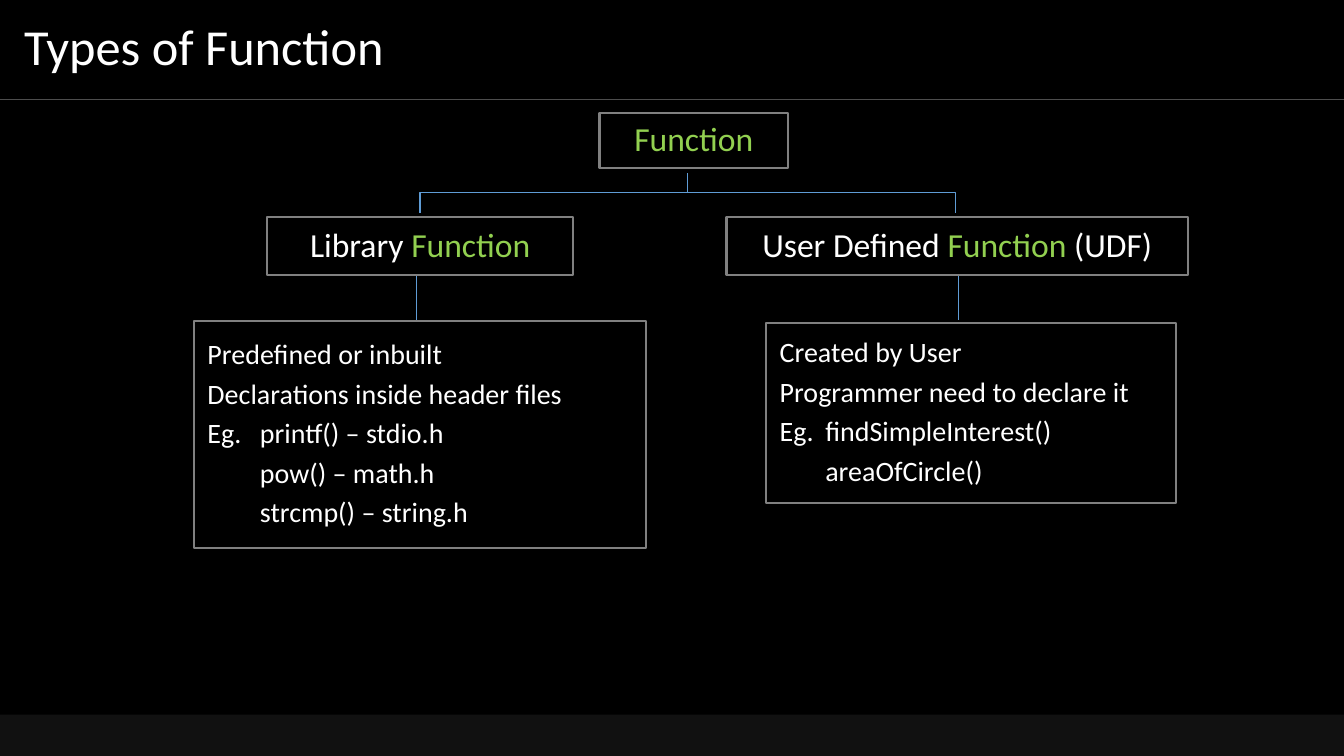
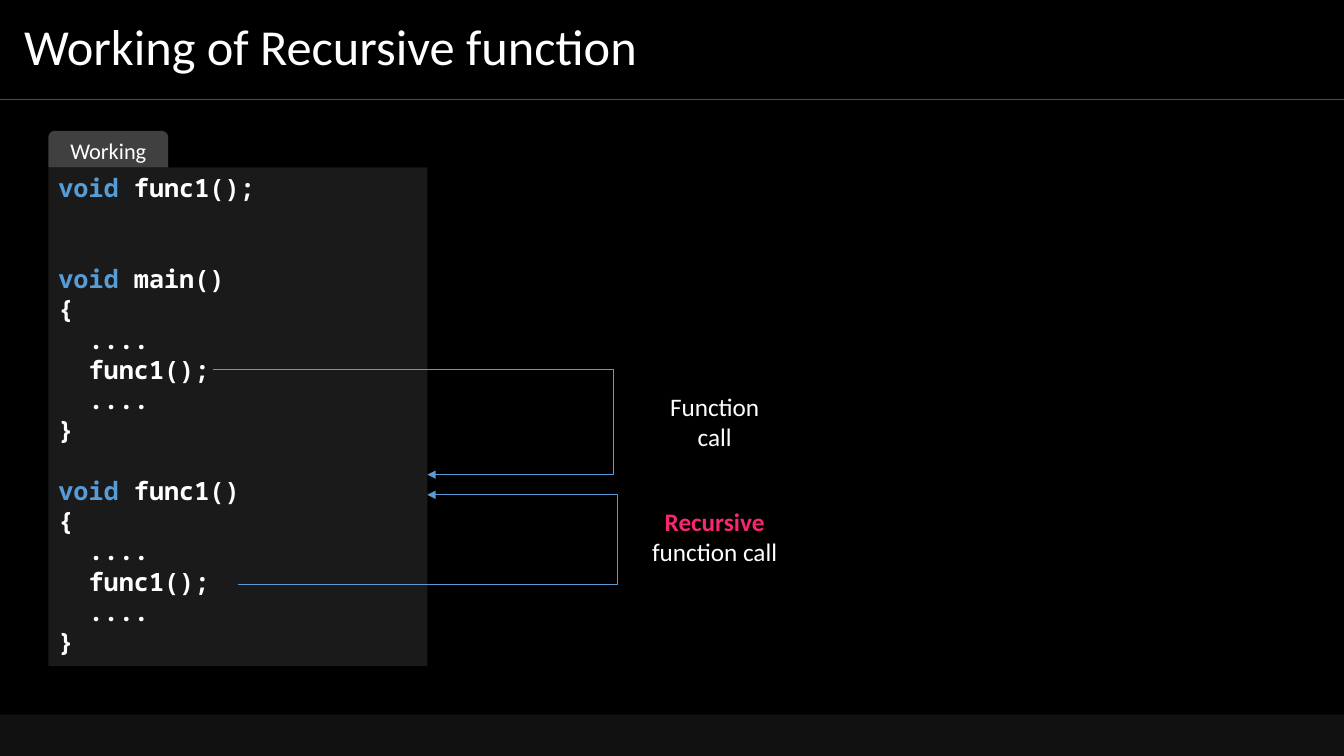
from lxml import etree
from pptx import Presentation
from pptx.dml.color import RGBColor
from pptx.enum.shapes import MSO_CONNECTOR, MSO_SHAPE
from pptx.enum.text import MSO_ANCHOR, PP_ALIGN
from pptx.oxml.ns import qn
from pptx.util import Cm, Pt

RECT, TAB = MSO_SHAPE.RECTANGLE, MSO_SHAPE.ROUND_2_SAME_RECTANGLE
STRAIGHT, ELBOW = MSO_CONNECTOR.STRAIGHT, MSO_CONNECTOR.ELBOW
LEFT, CENTER = PP_ALIGN.LEFT, PP_ALIGN.CENTER
TOP, MIDDLE = MSO_ANCHOR.TOP, MSO_ANCHOR.MIDDLE
COLORS = {
    "black": "000000", "white": "FFFFFF", "rule": "4D4D4D", "footer": "111111",
    "border": "808080", "green": "92D050", "branch": "5F9CD5", "arrow": "5B9BD5",
    "panel": "1A1A1A", "tab": "404040", "keyword": "569CD6", "pink": "F92672",
}
RGB = {name: RGBColor.from_string(value) for name, value in COLORS.items()}
FONT, CODE_FONT = "Calibri", "Noto Sans Mono"
WIDTH, HEIGHT = 33.87, 19.05


def add_box(s, kind, at, lines=(), size=18, fill=None, border=None, font=FONT,
            align=CENTER, anchor=MIDDLE, inset=(0.25, 0.13)):
    """Add a shape, or a text box if kind is None; a line is a list of (text, colour, bold)."""
    at = [Cm(v) for v in at]
    if kind is None:
        sp = s.shapes.add_textbox(*at)
    else:
        sp = s.shapes.add_shape(kind, *at)
        sp.shadow.inherit = False
        sp.fill.solid()
        sp.fill.fore_color.rgb = RGB[fill]
        if border:
            sp.line.color.rgb = RGB[border]
            sp.line.width = Pt(1.5)
        else:
            sp.line.fill.background()
    tf = sp.text_frame
    tf.word_wrap = True
    tf.vertical_anchor = anchor
    tf.margin_left = tf.margin_right = Cm(inset[0])
    tf.margin_top = tf.margin_bottom = Cm(inset[1])
    for i, runs in enumerate(lines):
        p = tf.paragraphs[0] if i == 0 else tf.add_paragraph()
        p.alignment = align
        for text, color, bold in runs:
            r = p.add_run()
            r.text = text
            r.font.name, r.font.size, r.font.bold = font, Pt(size), bold
            r.font.color.rgb = RGB[color]
    return tf


def add_line(s, kind, ends, color, width):
    """Add a connector without a shadow."""
    cx = s.shapes.add_connector(kind, *[Cm(v) for v in ends])
    cx.line.color.rgb = RGB[color]
    cx.line.width = Pt(width)
    etree.SubElement(cx._element.spPr, qn("a:effectLst"))
    return cx


prs = Presentation()
prs.slide_width, prs.slide_height = Cm(WIDTH), Cm(HEIGHT)

# Shared look: black background, title, rule and footer band
slides = []
for title in ("Types of Function", "Working of Recursive function"):
    s = prs.slides.add_slide(prs.slide_layouts[6])
    s.background.fill.solid()
    s.background.fill.fore_color.rgb = RGB["black"]
    add_line(s, STRAIGHT, (0, 2.5, WIDTH, 2.5), "rule", 0.5)
    add_box(s, RECT, (0, 18.01, WIDTH, 1.04), fill="footer")
    tf = add_box(s, None, (0, 0, WIDTH, 2.5), [[(title, "white", False)]], 36,
                 align=LEFT, inset=(0.61, 0.3))
    tf.paragraphs[0].line_spacing = 0.9
    slides.append(s)
types, working = slides

# Types: branches from the root to both kinds
for x in (10.59, 24.08):
    fb = types.shapes.build_freeform(Cm(17.32), Cm(4.37))
    fb.add_line_segments([(Cm(17.32), Cm(4.85)), (Cm(x), Cm(4.85)), (Cm(x), Cm(5.36))],
                         close=False)
    sp = fb.convert_to_shape()
    sp.shadow.inherit = False
    sp.fill.background()
    sp.line.color.rgb = RGB["branch"]
    sp.line.width = Pt(1)
for x in (10.49, 24.16):
    add_line(types, STRAIGHT, (x, 6.96, x, 8.07), "branch", 1)

# Types: headings
headings = [
    ((15.11, 2.84, 4.75, 1.4), [("Function", "green", False)]),
    ((6.73, 5.47, 7.72, 1.47), [("Library ", "white", False), ("Function", "green", False)]),
    ((18.31, 5.47, 11.63, 1.47), [("User Defined ", "white", False),
                                  ("Function ", "green", False), ("(UDF)", "white", False)]),
]
for at, runs in headings:
    tf = add_box(types, RECT, at, [runs], 24, "black", "border", inset=(0.05, 0.05))
    tf.paragraphs[0].line_spacing = 0.9
    tf.paragraphs[0].space_after = Pt(6.6)

# Types: details, with the examples lined up at a tab stop
details = [
    ((4.88, 8.08, 11.41, 5.74), 1.32,
     ["Predefined or inbuilt", "Declarations inside header files",
      "Eg.\tprintf() – stdio.h", "\tpow() – math.h", "\tstrcmp() – string.h"]),
    ((19.3, 8.15, 10.34, 4.52), 1.15,
     ["Created by User", "Programmer need to declare it",
      "Eg.\tfindSimpleInterest()", "\tareaOfCircle()"]),
]
for at, stop, texts in details:
    tf = add_box(types, RECT, at, [[(text, "white", False)] for text in texts], 20,
                 "black", "border", align=LEFT, inset=(0.35, 0.03))
    for p in tf.paragraphs:
        tabs = etree.SubElement(p._p.get_or_add_pPr(), qn("a:tabLst"))
        etree.SubElement(tabs, qn("a:tab"), pos=str(Cm(stop)), algn="l")
        p.line_spacing = 0.9
        p.space_after = Pt(6.6)

# Working: code panel, where an empty line becomes space before the next one
CODE = """void func1();


void main()
{
  ....
  func1();
  ....
}

void func1()
{
  ....
  func1();
  ....
}"""
lines, gaps, gap = [], [], 0
for text in CODE.split("\n"):
    if not text:
        gap += 1
        continue
    word, keyword, rest = text.rpartition("void")
    runs = [(keyword, "keyword", True)] if keyword else []
    lines.append(runs + [(rest, "white", True)])
    gaps.append(gap)
    gap = 0
tf = add_box(working, RECT, (1.22, 4.22, 9.55, 12.57), lines, 18, "panel",
             font=CODE_FONT, align=LEFT, anchor=TOP)
for p, gap in zip(tf.paragraphs, gaps):
    if gap:
        p.space_before = Pt(21.67 * gap)
add_box(working, TAB, (1.22, 3.3, 3.02, 0.92), [[("Working", "white", False)]], 16,
        "tab", inset=(0.25, 0))

# Working: call arrows, bent out to the right of the panel
for ends, bend in (((5.38, 9.3, 10.77, 11.96), 187000), ((5.99, 14.73, 10.77, 12.47), 200400)):
    cx = add_line(working, ELBOW, ends, "arrow", 0.5)
    guides = cx._element.spPr.find(".//" + qn("a:avLst"))
    etree.SubElement(guides, qn("a:gd"), name="adj1", fmla=f"val {bend}")
    etree.SubElement(cx.line._get_or_add_ln(), qn("a:tailEnd"), type="triangle")

# Working: call labels
labels = [
    ((16.46, 9.73, 3.1, 1.8), [("Function call", "white", False)]),
    ((16.08, 12.62, 3.86, 1.8), [("Recursive", "pink", True),
                                 (" function call", "white", False)]),
]
for at, runs in labels:
    add_box(working, None, at, [runs], anchor=TOP)

prs.save("out.pptx")
